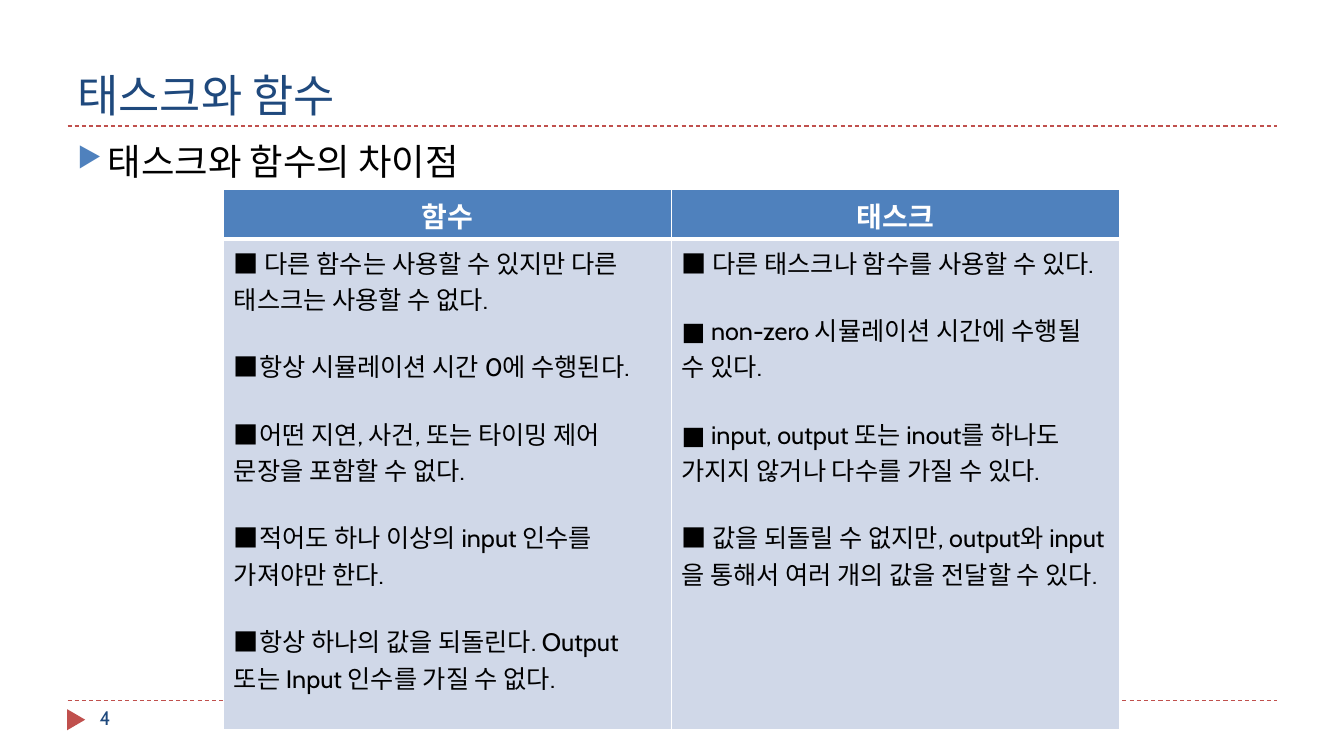
from dataclasses import dataclass

from lxml import etree
from pptx import Presentation
from pptx.dml.color import RGBColor
from pptx.enum.dml import MSO_LINE
from pptx.enum.shapes import MSO_CONNECTOR, MSO_SHAPE
from pptx.enum.text import MSO_ANCHOR, PP_ALIGN
from pptx.oxml.ns import qn
from pptx.util import Inches, Pt

NAVY = RGBColor(0x1F, 0x49, 0x7D)
BLUE = RGBColor(0x4F, 0x81, 0xBD)
PALE = RGBColor(0xD0, 0xD8, 0xE8)
RED = RGBColor(0xC0, 0x50, 0x4D)
BLACK = RGBColor(0, 0, 0)
WHITE = RGBColor(0xFF, 0xFF, 0xFF)
HEADING_FONT, BODY_FONT = "Roboto Slab", "Cabin"
RULE_TOPS = (6.95, 1.25)
ROW_HEIGHTS = (0.49, 4.87)
COLUMN_WIDTH = 4.44


@dataclass(frozen=True)
class Style:
    size: float
    color: RGBColor
    font: str = BODY_FONT
    bold: bool = False


@dataclass(frozen=True)
class Label:
    text: str
    left: float
    top: float
    width: float
    height: float
    style: Style
    anchor: MSO_ANCHOR = MSO_ANCHOR.TOP


@dataclass(frozen=True)
class Column:
    heading: str
    points: tuple[str, ...]


TITLE = Label("태스크와 함수", 0.67, 0.17, 12, 1.08,
              Style(32, NAVY, HEADING_FONT), MSO_ANCHOR.BOTTOM)
SUBTITLE = Label("태스크와 함수의 차이점", 0.67, 1.33, 12, 5.4, Style(26, BLACK))
PAGE_NUMBER = Label("4", 0.89, 6.95, 2.89, 0.4, Style(14, NAVY))
HEADER_STYLE = Style(20, WHITE, bold=True)
POINT_STYLE = Style(18, BLACK)

COLUMNS = (
    Column("함수", (
        "■ 다른 함수는 사용할 수 있지만 다른 태스크는 사용할 수 없다.",
        "■항상 시뮬레이션 시간 0에 수행된다.",
        "■어떤 지연, 사건, 또는 타이밍 제어 문장을 포함할 수 없다.",
        "■적어도 하나 이상의 input 인수를 가져야만 한다.",
        "■항상 하나의 값을 되돌린다. Output 또는 Input 인수를 가질 수 없다.",
    )),
    Column("태스크", (
        "■ 다른 태스크나 함수를 사용할 수 있다.",
        "■ non-zero 시뮬레이션 시간에 수행될 수 있다.",
        "■ input, output 또는 inout를 하나도 가지지 않거나 다수를 가질 수 있다.",
        "■ 값을 되돌릴 수 없지만, output와 input을 통해서 여러 개의 값을 전달할 수 있다.",
    )),
)


def add_run(p, text: str, style: Style) -> None:
    r = p.add_run()
    r.text = text
    r.font.size = Pt(style.size)
    r.font.name = style.font
    r.font.bold = style.bold
    r.font.color.rgb = style.color


def add_label(slide, label: Label):
    """Add a text box and return its paragraph."""
    sp = slide.shapes.add_textbox(Inches(label.left), Inches(label.top),
                                  Inches(label.width), Inches(label.height))
    tf = sp.text_frame
    tf.word_wrap = True
    tf.vertical_anchor = label.anchor
    p = tf.paragraphs[0]
    add_run(p, label.text, label.style)
    return p


def add_bullet(p, char: str, color: RGBColor, percent: int) -> None:
    p.space_before = Pt(6)
    pPr = p._p.get_or_add_pPr()
    pPr.set("marL", str(Inches(0.3)))
    pPr.set("indent", str(Inches(-0.3)))
    bullet_color = etree.SubElement(pPr, qn("a:buClr"))
    etree.SubElement(bullet_color, qn("a:srgbClr"), val=str(color))
    etree.SubElement(pPr, qn("a:buSzPct"), val=str(percent * 1000))
    etree.SubElement(pPr, qn("a:buChar"), char=char)


def add_rule(slide, top: float) -> None:
    line = slide.shapes.add_connector(MSO_CONNECTOR.STRAIGHT, Inches(0.67), Inches(top),
                                      Inches(12.67), Inches(top))
    line.line.color.rgb = RED
    line.line.width = Pt(0.75)
    line.line.dash_style = MSO_LINE.DASH
    etree.SubElement(line._element.spPr, qn("a:effectLst"))


def add_page_marker(slide) -> None:
    sp = slide.shapes.add_shape(MSO_SHAPE.ISOSCELES_TRIANGLE, Inches(0.65), Inches(7.05),
                                Inches(0.21), Inches(0.18))
    sp.rotation = 90
    sp.shadow.inherit = False
    sp.fill.solid()
    sp.fill.fore_color.rgb = RED
    sp.line.fill.background()


def format_cell(cell, fill: RGBColor, top: float, bottom: float) -> None:
    """Fill the cell and give it white borders, with top and bottom widths in points."""
    cell.fill.solid()
    cell.fill.fore_color.rgb = fill
    tcPr = cell._tc.get_or_add_tcPr()
    borders = (("a:lnL", 1), ("a:lnR", 1), ("a:lnT", top), ("a:lnB", bottom))
    for i, (tag, width) in enumerate(borders):
        ln = etree.Element(qn(tag), w=str(Pt(width)))
        solid = etree.SubElement(ln, qn("a:solidFill"))
        etree.SubElement(solid, qn("a:srgbClr"), val=str(WHITE))
        tcPr.insert(i, ln)


def add_comparison(slide, columns: tuple[Column, ...]) -> None:
    table = slide.shapes.add_table(
        len(ROW_HEIGHTS), len(columns), Inches(2.22), Inches(1.88),
        Inches(COLUMN_WIDTH * len(columns)), Inches(sum(ROW_HEIGHTS))).table
    for row, height in zip(table.rows, ROW_HEIGHTS):
        row.height = Inches(height)
    for i, column in enumerate(columns):
        table.columns[i].width = Inches(COLUMN_WIDTH)
        header, body = table.cell(0, i), table.cell(1, i)
        format_cell(header, BLUE, 1, 3)
        format_cell(body, PALE, 3, 1)
        p = header.text_frame.paragraphs[0]
        p.alignment = PP_ALIGN.CENTER
        add_run(p, column.heading, HEADER_STYLE)
        tf = body.text_frame
        for j, point in enumerate(column.points):
            p = tf.add_paragraph() if j else tf.paragraphs[0]
            p.space_before = Pt(22 if j else 0)
            add_run(p, point, POINT_STYLE)


def main() -> None:
    prs = Presentation()
    prs.slide_width, prs.slide_height = Inches(13.33), Inches(7.5)
    slide = prs.slides.add_slide(prs.slide_layouts[6])
    for top in RULE_TOPS:
        add_rule(slide, top)
    add_page_marker(slide)
    add_label(slide, TITLE)
    add_bullet(add_label(slide, SUBTITLE), "▶", BLUE, 76)
    add_label(slide, PAGE_NUMBER)
    add_comparison(slide, COLUMNS)
    prs.save("out.pptx")


if __name__ == "__main__":
    main()
